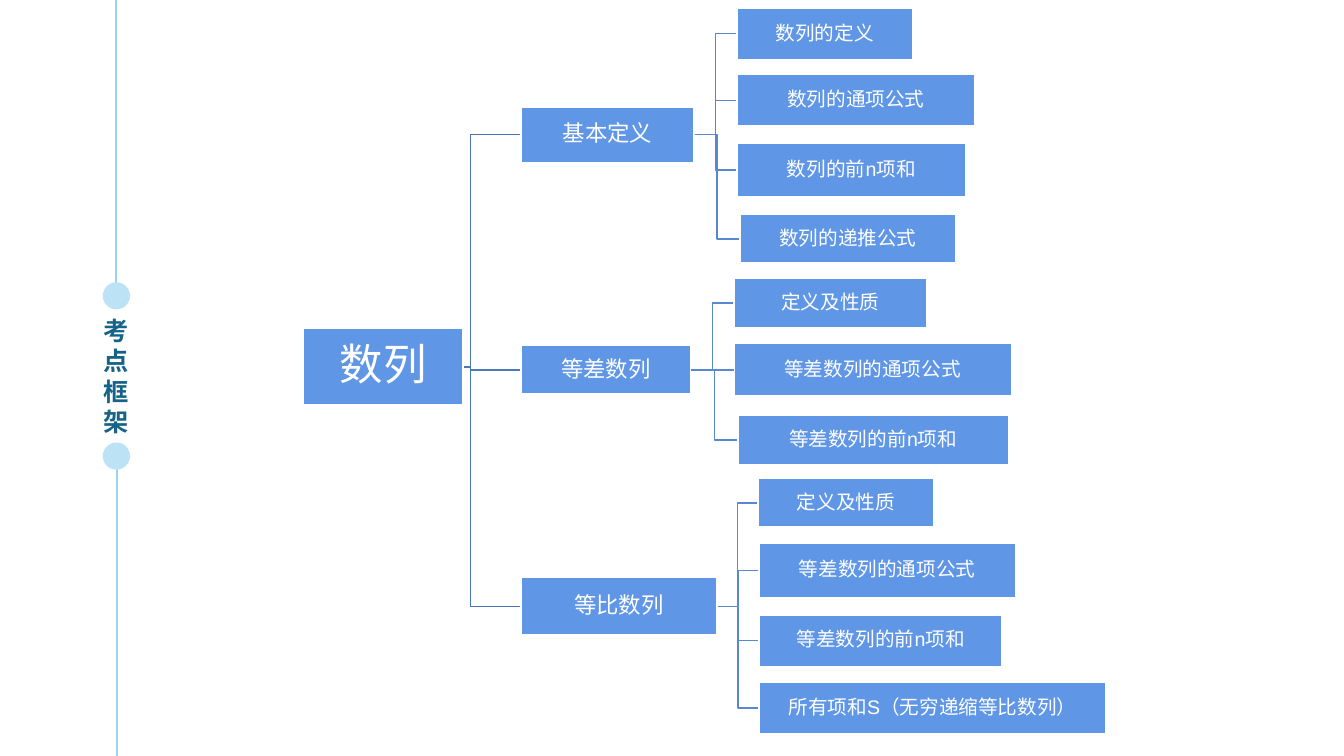
from dataclasses import dataclass

from lxml import etree
from pptx import Presentation
from pptx.dml.color import RGBColor
from pptx.enum.shapes import MSO_CONNECTOR, MSO_SHAPE
from pptx.enum.text import MSO_ANCHOR, PP_ALIGN
from pptx.oxml.ns import qn
from pptx.util import Inches, Pt

STRAIGHT = MSO_CONNECTOR.STRAIGHT
RECT, OVAL = MSO_SHAPE.RECTANGLE, MSO_SHAPE.OVAL
MIDDLE, TOP, CENTER = MSO_ANCHOR.MIDDLE, MSO_ANCHOR.TOP, PP_ALIGN.CENTER
WIDE, HIGH = 13.33, 7.5


@dataclass(frozen=True)
class Theme:
    font: str = "Arial"
    white: str = "FFFFFF"
    box: str = "6096E6"
    links: tuple = ("4D78B8", "5788D1")
    rail: str = "9BD3EF"
    dot: str = "BCE2F5"
    title: str = "156389"
    sizes: tuple = (31, 16, 14)
    head: int = 18


THEME = Theme()

# Each node: text, (left, top, width, height) in inches, children
TREE = ("数列", (3.01, 3.26, 1.58, 0.76), [
    ("基本定义", (5.17, 1.06, 1.71, 0.55), [
        ("数列的定义", (7.31, 0.08, 1.74, 0.51), []),
        ("数列的通项公式", (7.31, 0.74, 2.36, 0.51), []),
        ("数列的前n项和", (7.31, 1.42, 2.27, 0.53), []),
        ("数列的递推公式", (7.34, 2.13, 2.14, 0.48), []),
    ]),
    ("等差数列", (5.17, 3.43, 1.68, 0.48), [
        ("定义及性质", (7.28, 2.76, 1.91, 0.49), []),
        ("等差数列的通项公式", (7.28, 3.41, 2.75, 0.52), []),
        ("等差数列的前n项和", (7.32, 4.12, 2.68, 0.49), []),
    ]),
    ("等比数列", (5.17, 5.73, 1.94, 0.57), [
        ("定义及性质", (7.52, 4.75, 1.74, 0.48), []),
        ("等差数列的通项公式", (7.53, 5.39, 2.54, 0.54), []),
        ("等差数列的前n项和", (7.53, 6.1, 2.41, 0.51), []),
        ("所有项和S（无穷递缩等比数列）", (7.53, 6.77, 3.44, 0.51), []),
    ]),
])
HEAD = ("考点框架", (0.84, 3.08, 0.63, 1.31))
RAILS = [(1.15, 0, 2.81), (1.16, 4.61, HIGH)]
DOTS, DOT_LEFT, DOT = [2.8, 4.39], 1.02, 0.27
ROOT_BEND, GAP = 0.08, 0.01


def rgb(code):
    return RGBColor.from_string(code)


def paint(shape, fill, edge=None):
    shape.shadow.inherit = False
    shape.fill.solid()
    shape.fill.fore_color.rgb = rgb(fill)
    if edge:
        shape.line.color.rgb = rgb(edge)
        shape.line.width = Pt(1)
    else:
        shape.line.fill.background()


def write(shape, text, size, color, bold=False, pad=0.01, anchor=MIDDLE,
          space=0.9):
    frame = shape.text_frame
    frame.word_wrap = True
    frame.vertical_anchor = anchor
    for side, value in {"left": pad, "right": pad}.items():
        setattr(frame, "margin_" + side, Inches(value))
    for side in ("top", "bottom"):
        setattr(frame, "margin_" + side, Inches(min(pad, 0.05)))
    para = frame.paragraphs[0]
    para.alignment, para.line_spacing = CENTER, space
    run = para.add_run()
    run.text = text
    look = {"name": THEME.font, "size": Pt(size), "bold": bold}
    for key, value in look.items():
        setattr(run.font, key, value)
    run.font.color.rgb = rgb(color)


def line(shapes, start, end, color, width):
    item = shapes.add_connector(STRAIGHT, *map(Inches, start + end))
    item.line.color.rgb = rgb(color)
    item.line.width = Pt(width)
    etree.SubElement(item.element.spPr, qn("a:effectLst"))
    return item


def link(shapes, parent, child, level):
    """Join a parent's right side to a child's left side with a bent line."""
    (box, (x, y, w, h)), (leaf, (left, top, _, tall)) = parent, child
    right, mid, goal = x + w, y + h / 2, top + tall / 2
    color = THEME.links[level]
    if abs(mid - goal) < 0.01:
        item = line(shapes, (right, mid), (left, goal), color, 1)
        item.begin_connect(box, 3)
        item.end_connect(leaf, 1)
        return
    bend = right + ROOT_BEND if level == 0 else (right + left) / 2
    route = [(right + GAP, mid), (bend, mid), (bend, goal), (left - GAP, goal)]
    first, *rest = [(Inches(a), Inches(b)) for a, b in route]
    path = shapes.build_freeform(*first)
    path.add_line_segments(rest, close=False)
    bent = path.convert_to_shape()
    bent.shadow.inherit = False
    bent.fill.background()
    bent.line.color.rgb = rgb(color)
    bent.line.width = Pt(1)


def grow(shapes, node, level=0):
    """Draw a node and everything below it; return its box and place."""
    text, place, kids = node
    box = shapes.add_shape(RECT, *map(Inches, place))
    paint(box, THEME.box, THEME.white)
    write(box, text, THEME.sizes[level], THEME.white)
    for kid in kids:
        link(shapes, (box, place), grow(shapes, kid, level + 1), level)
    return box, place


def main():
    deck = Presentation()
    deck.slide_width, deck.slide_height = Inches(WIDE), Inches(HIGH)
    shapes = deck.slides.add_slide(deck.slide_layouts[6]).shapes
    for x, top, end in RAILS:
        line(shapes, (x, top), (x, end), THEME.rail, 1.25)
    for top in DOTS:
        dot = shapes.add_shape(OVAL, *map(Inches, (DOT_LEFT, top, DOT, DOT)))
        paint(dot, THEME.dot)
    text, place = HEAD
    head = shapes.add_textbox(*map(Inches, place))
    write(head, text, THEME.head, THEME.title, True, 0.1, TOP, 1.0)
    grow(shapes, TREE)
    deck.save("out.pptx")


if __name__ == "__main__":
    main()
